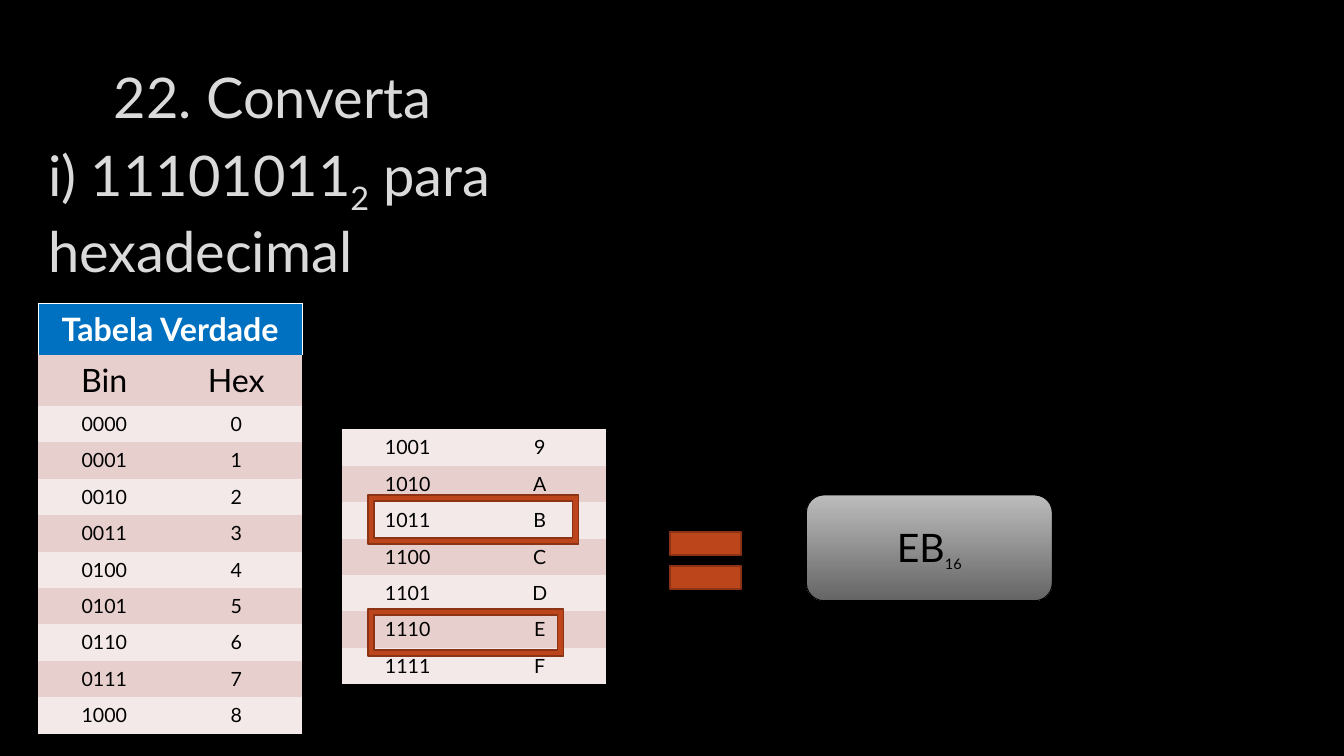
from lxml import etree
from pptx import Presentation
from pptx.dml.color import RGBColor
from pptx.enum.shapes import MSO_SHAPE
from pptx.enum.text import MSO_ANCHOR, MSO_AUTO_SIZE, PP_ALIGN
from pptx.oxml.ns import qn
from pptx.util import Pt

LEFT, CENTER = PP_ALIGN.LEFT, PP_ALIGN.CENTER
MIDDLE, NO_FIT = MSO_ANCHOR.MIDDLE, MSO_AUTO_SIZE.NONE
FRAME, EQUAL = MSO_SHAPE.FRAME, MSO_SHAPE.MATH_EQUAL
ROUNDED = MSO_SHAPE.ROUNDED_RECTANGLE

# Content: runs are (text, size, is subscript)
TITLE = [("22. Converta", 40, False)]
QUESTION = [("i) 11101011", 40, False), ("2", 40, True),
            (" para hexadecimal", 40, False)]
ANSWER = [("EB", 28, False), ("16", 18, True)]
TABLE_TITLE = "Tabela Verdade"
TABLE_HEAD = ("Bin", "Hex")
DIGITS = [(f"{n:04b}", f"{n:X}") for n in range(16)]
FIRST_PART = 9  # digits shown in the left table

# Places in points: left, top, width, height
TITLE_BOX = (74.16, 10.08, 815, 117.36)
QUESTION_BOX = (27.36, 92.88, 375.84, 117.36)
ANSWER_BOX = (576, 353.52, 175.68, 75.6)
MARKS = [
    (FRAME, (262.8, 353.52, 150.48, 35.28)),
    (FRAME, (262.8, 434.88, 139.68, 33.84)),
    (EQUAL, (469.44, 365.76, 69.12, 69.12)),
]
COLUMN, ROW, HEAD_ROW = 94.32, 26, 36.7
CELL_MARGINS = {"margin_left": Pt(9.36), "margin_right": Pt(9.36),
                "margin_top": Pt(4.4), "margin_bottom": Pt(4.4)}
NO_GRID = "{2D5ABB26-0587-4C30-8999-92F81FD0307C}"
FONT = "Lato"
COLORS = {
    "back": "000000", "heading": "DADADA", "dark": "000000", "white": "FFFFFF",
    "head": "0070C0", "band": "E7CFCD", "light": "F3E9E8",
    "mark": "BC451B", "mark_line": "8B3314",
    "grad_top": "BCBCBC", "grad_bottom": "656565",
}


def rgb(name):
    return RGBColor.from_string(COLORS[name])


def points(box):
    return [Pt(v) for v in box]


def write(tf, runs, color, align, bold=False):
    p = tf.paragraphs[0]
    p.alignment = align
    for text, size, subscript in runs:
        r = p.add_run()
        r.text = text
        for key, value in {"name": FONT, "size": Pt(size), "bold": bold}.items():
            setattr(r.font, key, value)
        r.font.color.rgb = rgb(color)
        if subscript:
            r._r.get_or_add_rPr().set("baseline", "-25000")


def set_frame(tf):
    for key, value in {"word_wrap": True, "auto_size": NO_FIT,
                       "vertical_anchor": MIDDLE}.items():
        setattr(tf, key, value)


def add_shape(kind, box, line, width):
    sp = s.shapes.add_shape(kind, *points(box))
    sp.shadow.inherit = False
    sp.line.color.rgb = rgb(line)
    sp.line.width = Pt(width)
    return sp


def add_border(cell, side):
    ln = etree.SubElement(cell._tc.get_or_add_tcPr(), qn(f"a:ln{side}"), w="12700")
    fill = etree.SubElement(ln, qn("a:solidFill"))
    etree.SubElement(fill, qn("a:srgbClr"), val=COLORS["white"])


def fill_cell(cell, text, size, fill, color="dark", bold=False):
    for key, value in CELL_MARGINS.items():
        setattr(cell, key, value)
    cell.fill.solid()
    cell.fill.fore_color.rgb = rgb(fill)
    write(cell.text_frame, [(text, size, False)], color, CENTER, bold)


def add_digit_table(left, top, digits, with_head):
    head_rows = 2 if with_head else 0
    heights = [HEAD_ROW] * head_rows + [ROW] * len(digits)
    frame = s.shapes.add_table(len(heights), 2,
                               *points((left, top, 2 * COLUMN, sum(heights))))
    table = frame.table
    table.first_row = table.horz_banding = False
    frame._element.find(".//" + qn("a:tableStyleId")).text = NO_GRID
    for column in table.columns:
        column.width = Pt(COLUMN)
    for row, height in zip(table.rows, heights):
        row.height = Pt(height)
    if with_head:
        first, second = table.cell(0, 0), table.cell(0, 1)
        first.merge(second)
        for cell, sides in ((first, "LRT"), (second, "RT")):
            for side in sides:
                add_border(cell, side)
        fill_cell(first, TABLE_TITLE, 23, "head", "white", True)
        for c, text in enumerate(TABLE_HEAD):
            fill_cell(table.cell(1, c), text, 23, "band")
    for i, pair in enumerate(digits):
        for c, text in enumerate(pair):
            fill_cell(table.cell(head_rows + i, c), text, 14,
                      "band" if i % 2 else "light")


prs = Presentation()
prs.slide_width, prs.slide_height = Pt(960), Pt(540)
s = prs.slides.add_slide(prs.slide_layouts[5])
s.background.fill.solid()
s.background.fill.fore_color.rgb = rgb("back")

# Title and question
title = s.shapes.title
title.left, title.top, title.width, title.height = points(TITLE_BOX)
question = s.shapes.add_textbox(*points(QUESTION_BOX))
for sp, runs in ((title, TITLE), (question, QUESTION)):
    set_frame(sp.text_frame)
    write(sp.text_frame, runs, "heading", LEFT)

# Answer
answer = add_shape(ROUNDED, ANSWER_BOX, "dark", 0.75)
answer.fill.gradient()
answer.fill.gradient_angle = 270
for stop, position, name in zip(answer.fill.gradient_stops, (0, 1),
                                ("grad_top", "grad_bottom")):
    stop.position = position
    stop.color.rgb = rgb(name)
set_frame(answer.text_frame)
write(answer.text_frame, ANSWER, "dark", CENTER)

# Binary to hexadecimal tables
add_digit_table(27.36, 216.72, DIGITS[:FIRST_PART], True)
add_digit_table(244.08, 306.72, DIGITS[FIRST_PART:], False)

# Frames around the two digits, and the equal sign
for kind, box in MARKS:
    mark = add_shape(kind, box, "mark_line", 1.25)
    mark.fill.solid()
    mark.fill.fore_color.rgb = rgb("mark")

prs.save("out.pptx")
